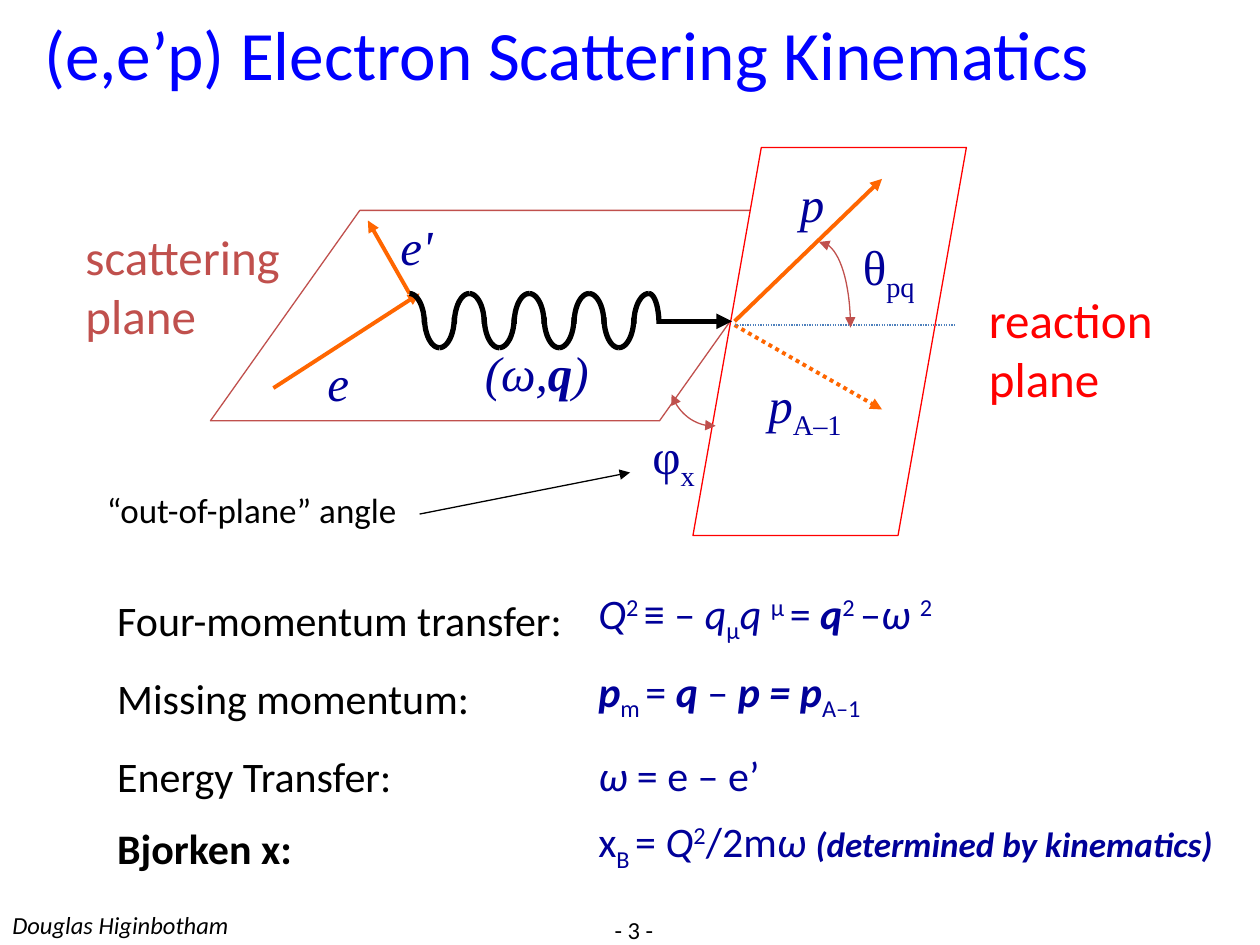
import math

from lxml import etree
from pptx import Presentation
from pptx.dml.color import RGBColor
from pptx.enum.dml import MSO_LINE
from pptx.enum.shapes import MSO_CONNECTOR, MSO_SHAPE
from pptx.enum.text import MSO_ANCHOR, MSO_AUTO_SIZE, PP_ALIGN
from pptx.oxml.ns import qn
from pptx.util import Inches, Pt

STRAIGHT = MSO_CONNECTOR.STRAIGHT
PARALLELOGRAM = MSO_SHAPE.PARALLELOGRAM
DOTTED = MSO_LINE.ROUND_DOT
LEFT = PP_ALIGN.LEFT
MIDDLE, TOP = MSO_ANCHOR.MIDDLE, MSO_ANCHOR.TOP
NO_AUTOFIT = MSO_AUTO_SIZE.NONE

BLACK = RGBColor(0x00, 0x00, 0x00)
WHITE = RGBColor(0xFF, 0xFF, 0xFF)
BLUE = RGBColor(0x00, 0x00, 0xFF)
NAVY = RGBColor(0x00, 0x00, 0x99)
RED = RGBColor(0xFF, 0x00, 0x00)
BRICK = RGBColor(0xC0, 0x50, 0x4D)
ORANGE = RGBColor(0xFF, 0x66, 0x00)
STEEL = RGBColor(0x4F, 0x81, 0xBD)
SERIF, SANS = "Times New Roman", "Calibri"


def write(p, *runs, size=24, font=SANS, color=BLACK):
    """Add (text, marks) runs; marks are b bold, i italic, _ subscript, ^ superscript."""
    for text, marks in runs:
        r = p.add_run()
        r.text = text
        r.font.size, r.font.name = Pt(size), font
        r.font.color.rgb = color
        r.font.bold, r.font.italic = "b" in marks, "i" in marks
        for mark, baseline in (("_", "-25000"), ("^", "30000")):
            if mark in marks:
                r.font._element.set("baseline", baseline)


def style_line(sp, color, width, dash=None, ends=()):
    """Format an outline without shadow; ends names headEnd and tailEnd arrowheads."""
    sp.line.color.rgb, sp.line.width = color, Pt(width)
    if dash:
        sp.line.dash_style = dash
    for end in ends:
        etree.SubElement(sp.line._get_or_add_ln(), qn("a:" + end), type="triangle")
    etree.SubElement(sp._element.spPr, qn("a:effectLst"))


prs = Presentation()
prs.slide_width, prs.slide_height = Inches(10), Inches(7.5)
s = prs.slides.add_slide(prs.slide_layouts[1])

# Title
title = s.shapes.title
title.left, title.top, title.width, title.height = (Inches(v) for v in (0.25, 0, 9, 0.83))
title.text_frame.vertical_anchor = MIDDLE
p = title.text_frame.paragraphs[0]
p.alignment = LEFT
write(p, ("(e,e’p) Electron Scattering Kinematics", ""), size=39.6, color=BLUE)

# Scattering and reaction planes
for box, skew, color in (((1.67, 1.67, 4.75, 1.67), 0.71, BRICK),
                         ((5.5, 1.17, 2.17, 3.08), 0.25, RED)):
    plane = s.shapes.add_shape(PARALLELOGRAM, *(Inches(v) for v in box))
    plane.adjustments[0] = skew
    plane.fill.solid()
    plane.fill.fore_color.rgb = WHITE
    style_line(plane, color, 0.75)

# Particle tracks, photon arrow, reference axis and pointer
tail = ("tailEnd",)
for ends_at, color, width, dash, ends in (
    ((2.17, 3.08, 3.33, 2.33), ORANGE, 2.25, None, tail),
    ((3.25, 2.33, 2.92, 1.75), ORANGE, 2.25, None, tail),
    ((5.83, 2.55, 7, 1.42), ORANGE, 2.25, None, tail),
    ((5.83, 2.58, 7, 3.25), ORANGE, 2.25, DOTTED, tail),
    ((5.83, 2.58, 7.58, 2.58), STEEL, 0.75, DOTTED, ()),
    ((5.23, 2.55, 5.81, 2.55), BLACK, 3, None, tail),
    ((3.33, 4.08, 5, 3.75), BLACK, 0.75, None, tail),
):
    line = s.shapes.add_connector(STRAIGHT, *(Inches(v) for v in ends_at))
    style_line(line, color, width, dash, ends)

# Photon wave: quarter ellipses between crests, mid-line and troughs
wave = s.shapes.add_group_shape()
curves = []
quarter_width, quarter_height, steps = 1.9 / 16, 0.24, 12
for k in range(17):
    width = 0.08 if k == 16 else quarter_width
    crest = k % 4 in (0, 3)
    extreme, side = (2.33, 1) if crest else (2.76, -1)
    quarter = []
    for n in range(steps + 1):
        a = math.pi / 2 * n / steps
        across, drop = (1 - math.cos(a), 1 - math.sin(a)) if k % 2 else (
            math.sin(a), 1 - math.cos(a))
        quarter.append((3.25 + k * quarter_width + width * across,
                        extreme + side * quarter_height * drop))
    curves.append((wave.shapes, quarter, BLACK, 3, ()))

# Angle arcs: cubic curves given by their four control points
for controls in (((5.68, 3.38), (5.54, 3.39), (5.39, 3.3), (5.33, 3.13)),
                 ((6.5, 1.92), (6.65, 1.92), (6.75, 2.22), (6.75, 2.6))):
    arc = []
    for n in range(21):
        t = n / 20
        weights = [math.comb(3, j) * t**j * (1 - t)**(3 - j) for j in range(4)]
        arc.append(tuple(sum(w * c[axis] for w, c in zip(weights, controls))
                         for axis in (0, 1)))
    curves.append((s.shapes, arc, BRICK, 0.75, ("headEnd", "tailEnd")))

for shapes, points, color, width, ends in curves:
    start, *rest = [(Inches(x), Inches(y)) for x, y in points]
    builder = shapes.build_freeform(*start)
    builder.add_line_segments(rest, close=False)
    curve = builder.convert_to_shape()
    curve.fill.background()
    style_line(curve, color, width, ends=ends)

# Labels
symbol = dict(size=28, font=SERIF, color=NAVY)
for box, runs, look in (
    ((2.5, 2.75, 0.5, 0.57), [("e", "i")], symbol),
    ((3.08, 1.67, 0.5, 0.57), [("e'", "i")], symbol),
    ((5.08, 3.33, 0.75, 0.57), [("φ", ""), ("x", "_")], symbol),
    ((6, 2.92, 1, 0.57), [("p", "i"), ("A–1", "_")], symbol),
    ((6.75, 1.83, 0.92, 0.57), [("θ", ""), ("pq", "_")], symbol),
    ((6.25, 1.33, 0.67, 0.57), [("p", "i")], symbol),
    ((3.75, 2.67, 1.17, 0.57), [("(ω,", "i"), ("q", "bi"), (")", "i")], symbol),
    ((0.58, 1.75, 2.08, 1.03), [("scattering plane", "")], dict(size=28, color=BRICK)),
    ((7.75, 2.25, 1.83, 1.03), [("reaction plane", "")], dict(size=28, color=RED)),
    ((0.75, 3.83, 3.17, 0.43), [("“out-of-plane” angle", "")], dict(size=20)),
    ((0, 7.17, 1.94, 0.34), [("Douglas Higinbotham", "i")], dict(size=14)),
    ((4.78, 7.21, 0.64, 0.34), [("- 3 -", "")], dict(size=14)),
):
    tf = s.shapes.add_textbox(*(Inches(v) for v in box)).text_frame
    tf.word_wrap = True
    write(tf.paragraphs[0], *runs, **look)

# Definitions: names in the body placeholder, formulas in a column beside it
names = s.placeholders[1]
names.left, names.top, names.width, names.height = (
    Inches(v) for v in (0.83, 4.65, 3.8, 2.4))
formulas = s.shapes.add_textbox(Inches(4.65), names.top, Inches(5.3), names.height)
for tf in (names.text_frame, formulas.text_frame):
    tf.word_wrap, tf.auto_size, tf.vertical_anchor = True, NO_AUTOFIT, TOP

for i, (name, marks, formula, note, gap) in enumerate((
    ("Four-momentum transfer:", "",
     [("Q", "i"), ("2 ", "^"), ("≡ – ", ""), ("q", "i"), ("μ", "_"), ("q ", "i"), ("μ ", "^"),
      ("= ", ""), ("q", "bi"), ("2 ", "^"), ("–", ""), ("ω ", "i"), ("2", "^")], "", 0),
    ("Missing momentum:", "",
     [("p", "bi"), ("m ", "_"), ("= ", ""), ("q ", "bi"), ("– ", ""), ("p = p", "bi"),
      ("A–1", "_")], "", 14.5),
    ("Energy Transfer:", "", [("ω ", "i"), ("= e – e’", "")], "", 14.5),
    ("Bjorken x:", "b",
     [("x", ""), ("B ", "_"), ("= ", ""), ("Q", "i"), ("2", "^"), ("/2m", ""), ("ω ", "i")],
     "(determined by kinematics)", 11.5),
)):
    row = []
    for tf in (names.text_frame, formulas.text_frame):
        p = tf.add_paragraph() if i else tf.paragraphs[0]
        pPr = p._p.get_or_add_pPr()
        pPr.set("marL", "0")
        pPr.set("indent", "0")
        etree.SubElement(pPr, qn("a:buNone"))
        p.line_spacing, p.space_before = Pt(30), Pt(gap)
        row.append(p)
    write(row[0], (name, marks))
    write(row[1], *formula, color=NAVY)
    if note:
        write(row[1], (note, "bi"), size=20, color=NAVY)

prs.save("out.pptx")
